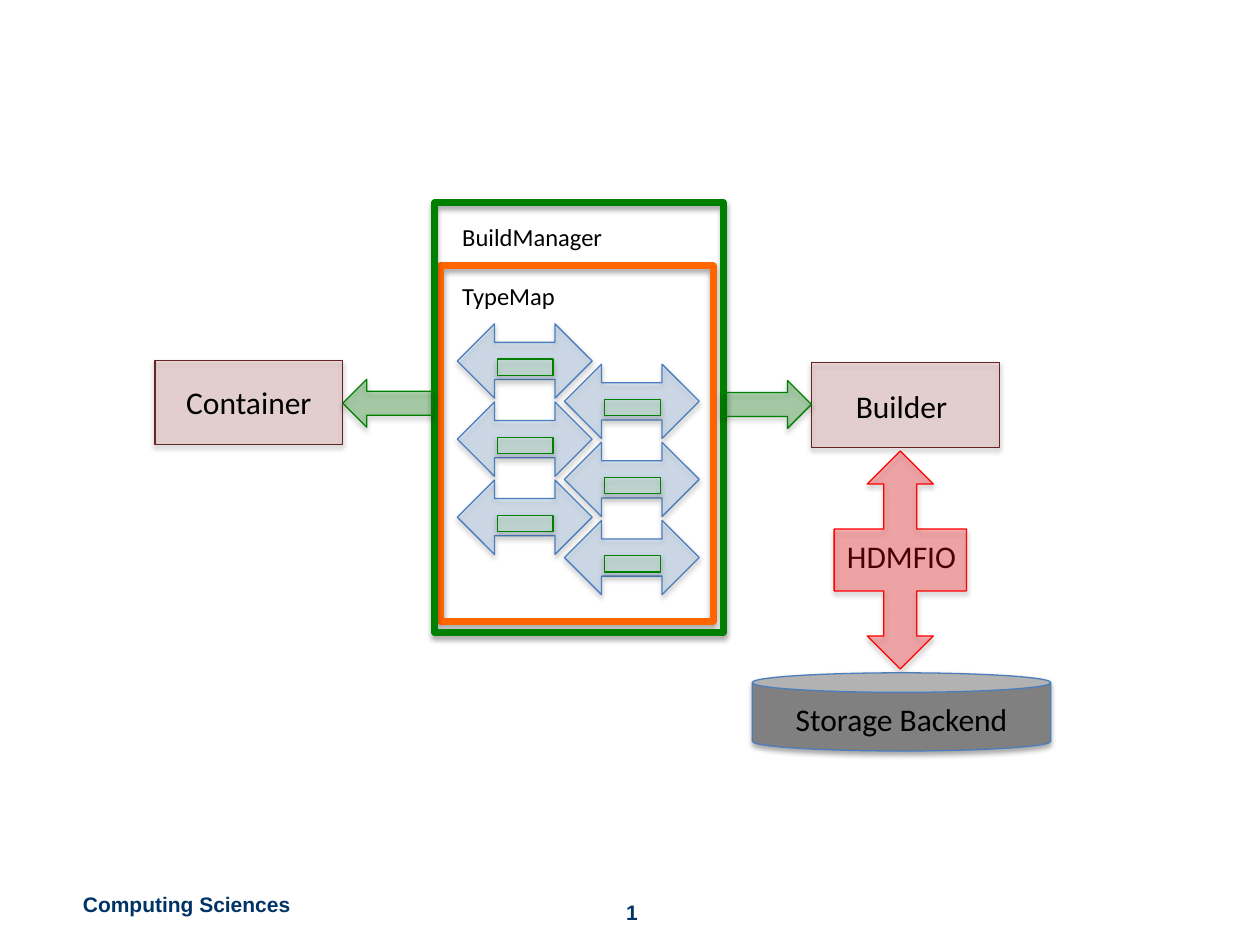
from lxml import etree
from pptx import Presentation
from pptx.dml.color import RGBColor
from pptx.enum import shapes, text
from pptx.oxml import ns
from pptx.util import Inches, Pt

KIND = shapes.MSO_SHAPE
ALIGN = text.PP_ALIGN
CLEAR = 29  # opacity of tinted fills, percent

# kind, (left, top, width, height), fill, opacity, line, line width
BOXES = [
    (KIND.RECTANGLE, (1.23, 2.86, 1.49, 0.67), "D99694", CLEAR, "632523", 0.75),
    (KIND.RECTANGLE, (6.44, 2.88, 1.49, 0.67), "D99694", CLEAR, "632523", 0.75),
]
FRAMES = [
    (KIND.RECTANGLE, (3.5, 2.11, 2.16, 2.82), None, 100, "FF6600", 4),
    (KIND.RECTANGLE, (3.45, 1.61, 2.29, 3.41), None, 100, "008000", 4),
]
LINKS = [
    (KIND.RIGHT_ARROW, (5.73, 3.02, 0.71, 0.38), "008000", CLEAR, "008000", 0.75),
    (KIND.RIGHT_ARROW, (2.72, 3.01, 0.71, 0.38), "008000", CLEAR, "008000", 0.75),
]
IO_ARROW = (KIND.UP_DOWN_ARROW_CALLOUT, (6.62, 3.58, 1.05, 1.73),
            "FF0000", CLEAR, "FF0000", 0.75)
STORAGE = (KIND.CAN, (5.97, 5.34, 2.37, 0.62), "808080", 100, "4B7EBC", 0.75)

# words, (left, top, width, height), size, alignment
BOX_LABELS = [
    ("Container", (1.23, 2.99, 1.49, 0.4), 18, ALIGN.CENTER),
    ("Builder", (6.52, 3.02, 1.27, 0.4), 18, ALIGN.CENTER),
]
FRAME_LABELS = [
    ("TypeMap", (3.57, 2.18, 1.72, 0.34), 14, ALIGN.LEFT),
    ("BuildManager", (3.57, 1.71, 1.72, 0.34), 14, ALIGN.LEFT),
]
IO_LABEL = ("HDMFIO", (6.52, 4.21, 1.27, 0.4), 18, ALIGN.CENTER)
STORAGE_LABEL = ("Storage Backend", (5.97, 5.51, 2.37, 0.4), 18, ALIGN.CENTER)

MAPPER_COLUMNS = [(3.63, 2.57), (4.48, 2.89)]  # left and first top of each column
MAPPER_ROWS, MAPPER_STEP = 3, 0.62
MAPPER_SIZE, BADGE_SIZE = (1.07, 0.59), (0.44, 0.13)
BADGE_OFFSET = (0.32, 0.28)

prs = Presentation()
prs.slide_width, prs.slide_height = Inches(10), Inches(7.5)
slide = prs.slides.add_slide(prs.slide_layouts[6])


def rgb(value):
    """Turn a hex string into a colour."""
    return RGBColor.from_string(value)


def add_alpha(color, percent):
    """Set the opacity of a colour element."""
    etree.SubElement(color, ns.qn("a:alpha"), val=str(percent * 1000))


def add_shadow(sp):
    """Give a shape a soft shadow that falls straight down."""
    sp.shadow.inherit = False
    effects = sp._element.spPr.find(ns.qn("a:effectLst"))
    shadow = etree.SubElement(
        effects, ns.qn("a:outerShdw"), blurRad=str(Pt(3.1)), dist=str(Pt(1.8)),
        dir="5400000", rotWithShape="0")
    color = etree.SubElement(shadow, ns.qn("a:srgbClr"), val="000000")
    add_alpha(color, 35)


def add_box(kind, place, fill, opacity, line, width):
    """Draw one preset shape with its fill, line and shadow."""
    sp = slide.shapes.add_shape(kind, *map(Inches, place))
    if fill:
        sp.fill.solid()
        sp.fill.fore_color.rgb = rgb(fill)
        if opacity < 100:
            add_alpha(sp._element.spPr.find(".//" + ns.qn("a:srgbClr")), opacity)
    else:
        sp.fill.background()
    sp.line.color.rgb = rgb(line)
    sp.line.width = Pt(width)
    add_shadow(sp)
    return sp


def add_label(words, place, size, align, font="Calibri", color="000000", bold=False):
    """Write one line of text in a text box."""
    box = slide.shapes.add_textbox(*map(Inches, place))
    tf = box.text_frame
    tf.word_wrap = True
    p = tf.paragraphs[0]
    p.alignment = align
    r = p.add_run()
    r.text = words
    r.font.name, r.font.size, r.font.bold = font, Pt(size), bold
    r.font.color.rgb = rgb(color)
    return tf


def add_mapper(left, top):
    """Draw a double arrow with its small green badge."""
    dx, dy = BADGE_OFFSET
    add_box(KIND.LEFT_RIGHT_ARROW, (left, top, *MAPPER_SIZE),
            "8EB4E3", CLEAR, "4B7EBC", 0.75)
    add_box(KIND.RECTANGLE, (left + dx, top + dy, *BADGE_SIZE),
            "CCFFCC", CLEAR, "008000", 0.75)


footer_style = ("Arial", "003366", True)
footer = add_label("Computing Sciences", (0.56, 7.03, 1.87, 0.3), 12,
                   ALIGN.LEFT, *footer_style)
footer.word_wrap = False
number = add_label("1", (3.85, 6.99, 2.33, 0.4), 12, ALIGN.CENTER, *footer_style)
number.vertical_anchor = text.MSO_ANCHOR.BOTTOM

for box, label in zip(BOXES, BOX_LABELS):
    add_box(*box)
    add_label(*label)

for row in range(MAPPER_ROWS):
    for left, top in MAPPER_COLUMNS:
        add_mapper(left, top + row * MAPPER_STEP)

for frame in FRAMES:
    add_box(*frame)
for label in FRAME_LABELS:
    add_label(*label)

to_builder, to_container = [add_box(*link) for link in LINKS]
to_container.rotation = 180

add_label(*IO_LABEL)
io_arrow = add_box(*IO_ARROW)
for i, value in enumerate((0.25, 0.25, 0.25, 0.284)):
    io_arrow.adjustments[i] = value

add_box(*STORAGE)
add_label(*STORAGE_LABEL)

prs.save("out.pptx")
